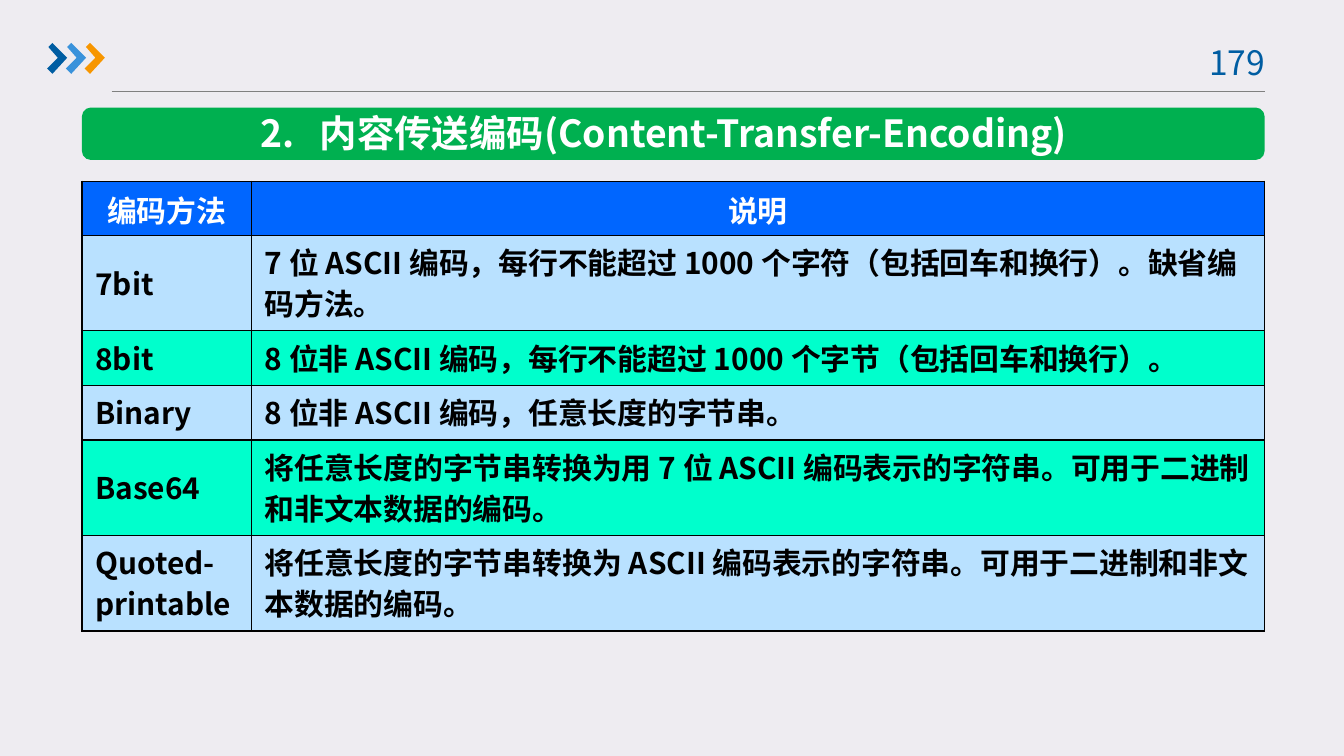
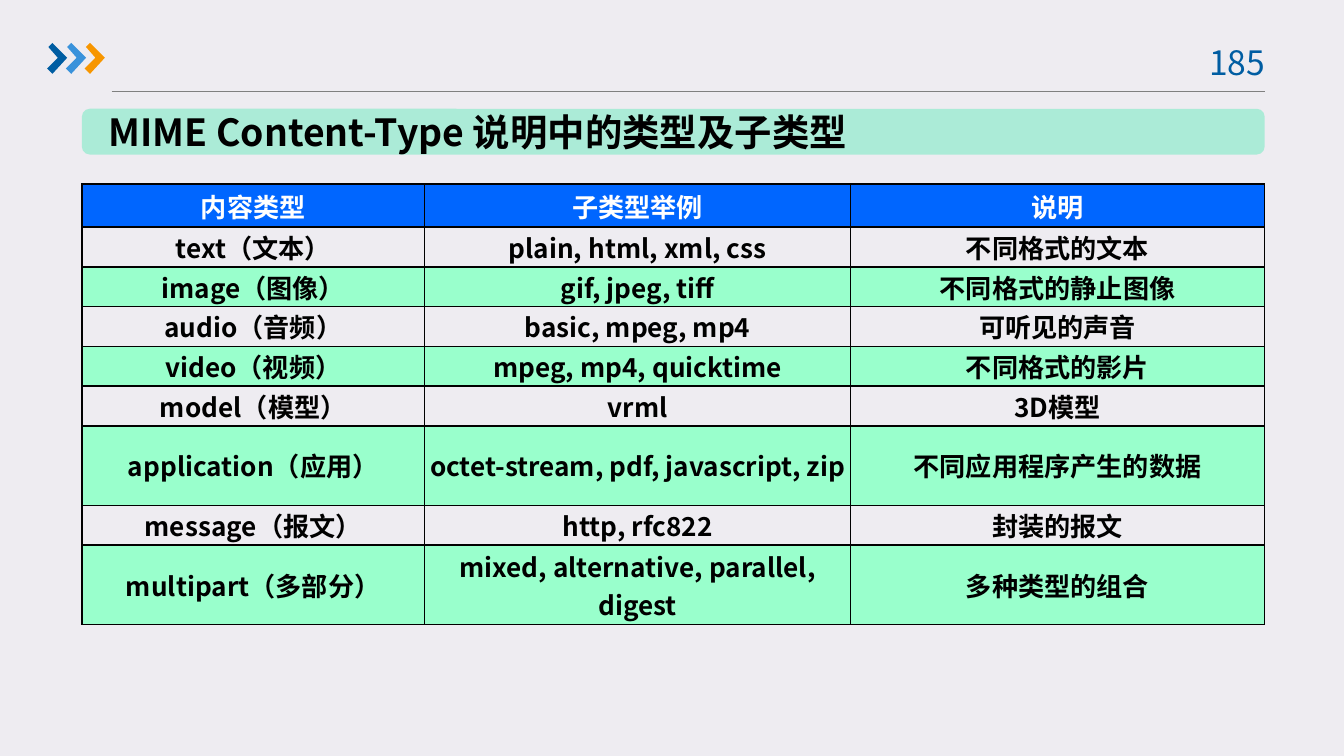
from lxml import etree
from pptx import Presentation
from pptx.dml.color import RGBColor
from pptx.enum.shapes import MSO_CONNECTOR, MSO_SHAPE
from pptx.enum.text import MSO_ANCHOR, PP_ALIGN
from pptx.oxml.ns import qn
from pptx.util import Inches, Pt

LINE = MSO_CONNECTOR.STRAIGHT
ROUND = MSO_SHAPE.ROUNDED_RECTANGLE
MID = MSO_ANCHOR.MIDDLE
LEFT, MID_X = PP_ALIGN.LEFT, PP_ALIGN.CENTER

PAGE = RGBColor(0xEE, 0xEC, 0xF1)
NAVY = RGBColor(0x00, 0x5D, 0xA2)
SKY = RGBColor(0x39, 0x92, 0xDB)
AMBER = RGBColor(0xF7, 0x96, 0x00)
GREY = RGBColor(0x80, 0x80, 0x80)
BLUE = RGBColor(0x00, 0x66, 0xFF)
PALE = RGBColor(0xB9, 0xE1, 0xFF)
AQUA = RGBColor(0x00, 0xFF, 0xCC)
MINT = RGBColor(0x99, 0xFF, 0xCC)
GREEN = RGBColor(0x00, 0xB0, 0x50)
TEAL = RGBColor(0xAB, 0xEB, 0xD7)
WHITE = RGBColor(0xFF, 0xFF, 0xFF)
BLACK = RGBColor(0x00, 0x00, 0x00)

FONT = "Noto Sans CJK SC"
WIDE = 10
HIGH = WIDE * 9 / 16
EDGE, SPAN = 0.61, 8.8
MARK = [(36, 35), (39, 32), (50, 43), (39, 55), (35, 51), (43, 43)]
STEP = 14

SLIDES = [
    {
        "page": "179",
        "title": "2.\t内容传送编码(Content-Transfer-Encoding)",
        "ink": WHITE, "band": (GREEN, 0.8, 0.39),
        "box": (1.84, 0.77, 6.37, 0.44), "tab": 0.44,
        "top": 1.35, "cols": [1.26, 7.54],
        "head": 0.4, "tall": 3.33, "lines": [1.3, 0.73, 0.73, 1.3, 1.3],
        "size": 16, "align": LEFT, "lead": 22, "inset": (0.1, 0.05),
        "inner": 0.75, "fills": [PALE, AQUA],
        "rows": [
            ("编码方法", "说明"),
            ("7bit", "7 位 ASCII 编码，每行不能超过 1000 个字符（包括回车和换行）。缺省编码方法。"),
            ("8bit", "8 位非 ASCII 编码，每行不能超过 1000 个字节（包括回车和换行）。"),
            ("Binary", "8 位非 ASCII 编码，任意长度的字节串。"),
            ("Base64", "将任意长度的字节串转换为用 7 位 ASCII 编码表示的字符串。可用于二进制和非文本数据的编码。"),
            ("Quoted-printable", "将任意长度的字节串转换为 ASCII 编码表示的字符串。可用于二进制和非文本数据的编码。"),
        ],
    },
    {
        "page": "185",
        "title": "MIME Content-Type 说明中的类型及子类型",
        "ink": BLACK, "band": (TEAL, 0.81, 0.34),
        "box": (0.71, 0.76, 5.92, 0.44), "tab": None,
        "top": 1.37, "cols": [2.55, 3.17, 3.08],
        "head": 0.32, "tall": 3.28, "lines": [1, 1, 1, 1, 1, 2, 1, 2],
        "size": 14, "align": MID_X, "lead": None, "inset": (0.03, 0),
        "inner": 1, "fills": [None, MINT],
        "rows": [
            ("内容类型", "子类型举例", "说明"),
            ("text（文本）", "plain, html, xml, css", "不同格式的文本"),
            ("image（图像）", "gif, jpeg, tiff", "不同格式的静止图像"),
            ("audio（音频）", "basic, mpeg, mp4", "可听见的声音"),
            ("video（视频）", "mpeg, mp4, quicktime", "不同格式的影片"),
            ("model（模型）", "vrml", "3D模型"),
            ("application（应用）", "octet-stream, pdf, javascript, zip", "不同应用程序产生的数据"),
            ("message（报文）", "http, rfc822", "封装的报文"),
            ("multipart（多部分）", "mixed, alternative, parallel, digest", "多种类型的组合"),
        ],
    },
]


def add(node, tag, **attrs):
    return etree.SubElement(node, qn(tag), attrs)


def write(frame, text, size, ink, bold=True, align=LEFT, tab=None):
    para = frame.paragraphs[0]
    para.text = text
    para.alignment = align
    props = para._p.get_or_add_pPr()
    if tab:
        add(add(props, "a:tabLst"), "a:tab", pos=str(Inches(tab)), algn="l")
    font = para.font
    font.name, font.size, font.bold = FONT, Pt(size), bold
    font.color.rgb = ink
    latin = props.find(qn("a:defRPr")).find(qn("a:latin"))
    east = etree.Element(qn("a:ea"), typeface=FONT)
    latin.addnext(east)
    return para


def paint(shape, color):
    shape.shadow.inherit = False
    shape.fill.solid()
    shape.fill.fore_color.rgb = color
    shape.line.fill.background()


def label(slide, box, text, size, ink, wrap=False, **style):
    frame = slide.shapes.add_textbox(*map(Inches, box)).text_frame
    frame.word_wrap = wrap
    write(frame, text, size, ink, **style)


def frame_page(slide, page):
    slide.background.fill.solid()
    slide.background.fill.fore_color.rgb = PAGE
    ends = (0.83, 0.68, EDGE + SPAN, 0.68)
    rule = slide.shapes.add_connector(LINE, *map(Inches, ends))
    rule.line.color.rgb = GREY
    rule.line.width = Pt(0.75)
    add(rule._element.spPr, "a:effectLst")
    for i, color in enumerate((NAVY, SKY, AMBER)):
        dots = [(x + i * STEP, y) for x, y in MARK]
        pen = slide.shapes.build_freeform(*dots[0], scale=Inches(0.01))
        pen.add_line_segments(dots[1:], close=True)
        paint(pen.convert_to_shape(), color)
    label(slide, (8.84, 0.26, 0.73, 0.4), page, 18, NAVY,
          wrap=True, bold=False, align=MID_X)


def add_title(slide, spec):
    color, top, tall = spec["band"]
    box = (EDGE, top, SPAN, tall)
    band = slide.shapes.add_shape(ROUND, *map(Inches, box))
    band.adjustments[0] = 0.17
    paint(band, color)
    label(slide, spec["box"], spec["title"], 20, spec["ink"], tab=spec["tab"])


def border(cell, outer, inner):
    props = cell._tc.get_or_add_tcPr()
    for side in "LRTB":
        width = 1 if side in outer else inner
        line = add(props, "a:ln" + side, w=str(Pt(width)))
        add(add(line, "a:solidFill"), "a:srgbClr", val=str(BLACK))


def add_grid(slide, spec):
    rows, cols = spec["rows"], spec["cols"]
    box = (EDGE, spec["top"], SPAN, spec["tall"])
    grid = slide.shapes.add_table(len(rows), len(cols), *map(Inches, box)).table
    grid.first_row = grid.horz_banding = False
    unit = (spec["tall"] - spec["head"]) / sum(spec["lines"])
    highs = [spec["head"]] + [n * unit for n in spec["lines"]]
    for col, width in zip(grid.columns, cols):
        col.width = Inches(width)
    for r, (row, high) in enumerate(zip(rows, highs)):
        grid.rows[r].height = Inches(high)
        fill = spec["fills"][(r - 1) % 2] if r else BLUE
        for c, text in enumerate(row):
            cell = grid.cell(r, c)
            outer = [side for side, hit in (
                ("L", c == 0), ("R", c == len(cols) - 1),
                ("T", r == 0), ("B", r == len(rows) - 1)) if hit]
            border(cell, outer, spec["inner"])
            if fill is None:
                cell.fill.background()
            else:
                cell.fill.solid()
                cell.fill.fore_color.rgb = fill
            side, end = map(Inches, spec["inset"])
            cell.margin_left = cell.margin_right = side
            cell.margin_top = cell.margin_bottom = end
            cell.vertical_anchor = MID
            para = write(cell.text_frame, text, spec["size"],
                         BLACK if r else WHITE,
                         align=spec["align"] if r else MID_X)
            if r and spec["lead"]:
                para.line_spacing = Pt(spec["lead"])


def main():
    deck = Presentation()
    deck.slide_width, deck.slide_height = Inches(WIDE), Inches(HIGH)
    for spec in SLIDES:
        slide = deck.slides.add_slide(deck.slide_layouts[6])
        frame_page(slide, spec["page"])
        add_title(slide, spec)
        add_grid(slide, spec)
    deck.save("out.pptx")


if __name__ == "__main__":
    main()
